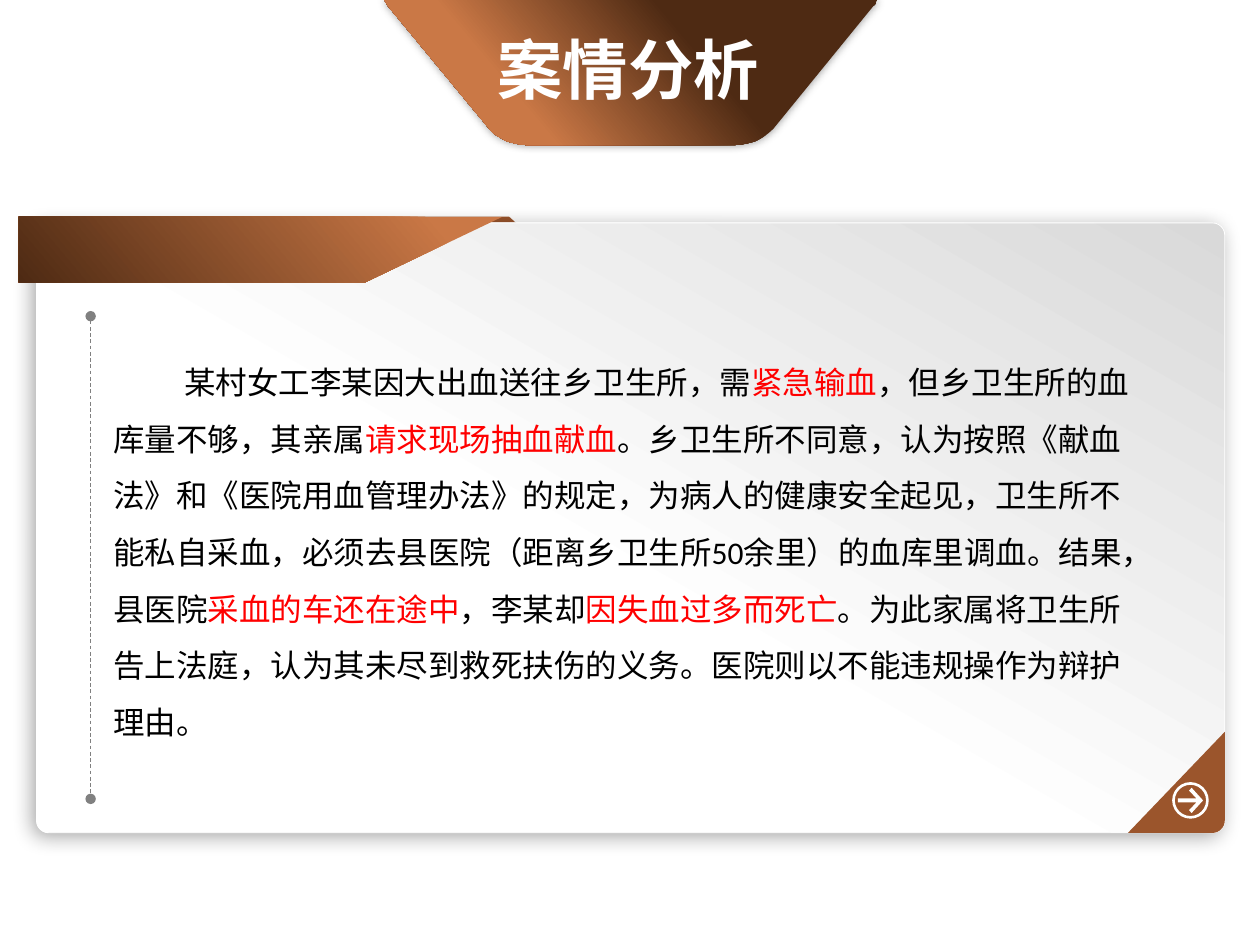
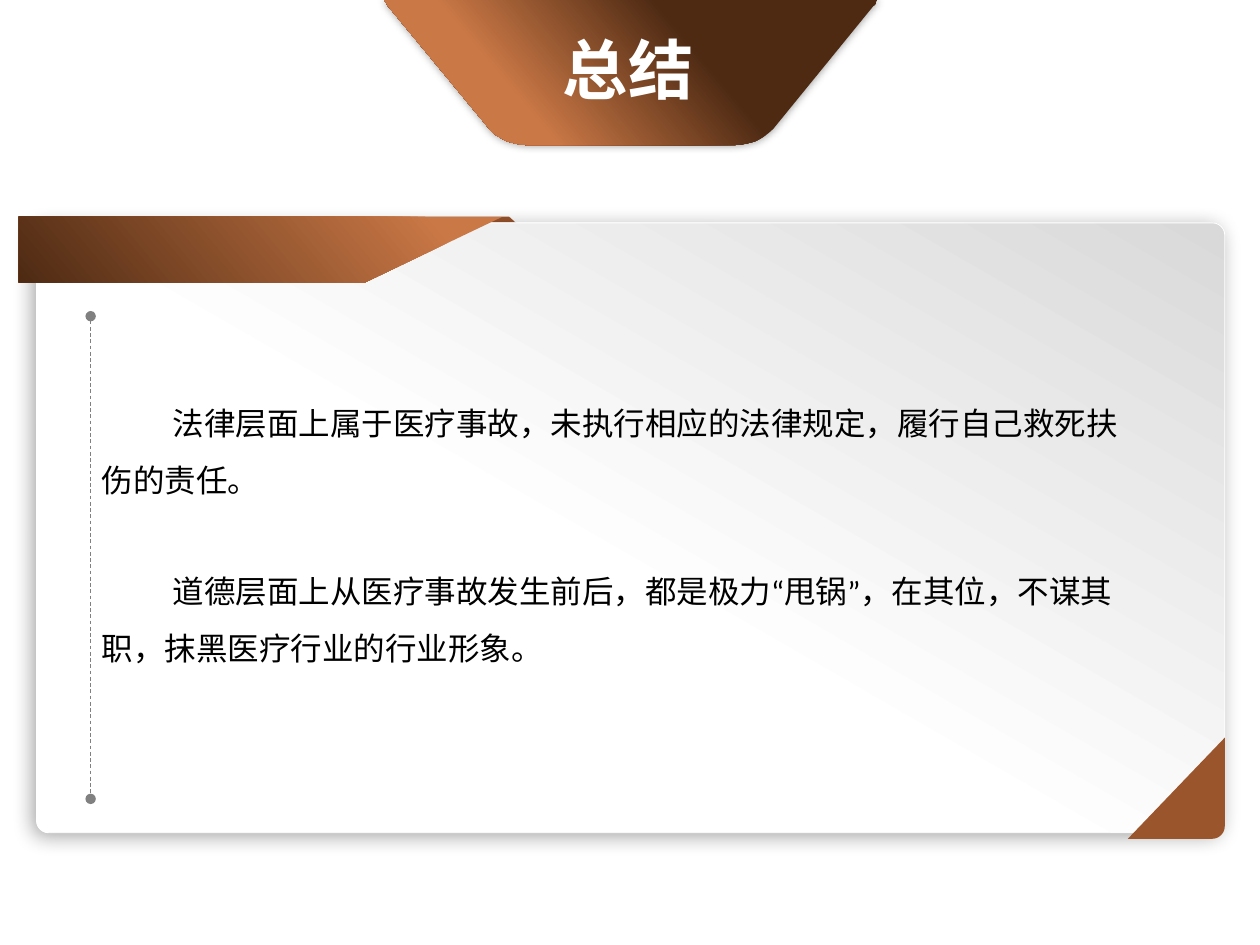
from lxml import etree
from pptx import Presentation
from pptx.dml.color import RGBColor
from pptx.enum.dml import MSO_LINE
from pptx.enum.shapes import MSO_CONNECTOR, MSO_SHAPE
from pptx.enum.text import MSO_ANCHOR, MSO_AUTO_SIZE, PP_ALIGN
from pptx.oxml.ns import qn
from pptx.util import Pt

ROUND, OVAL = MSO_SHAPE.ROUNDED_RECTANGLE, MSO_SHAPE.OVAL
STRAIGHT = MSO_CONNECTOR.STRAIGHT
DASH = MSO_LINE.DASH
CENTER, MIDDLE = PP_ALIGN.CENTER, MSO_ANCHOR.MIDDLE
NO_FIT = MSO_AUTO_SIZE.NONE

WHITE, BLACK, RED, GREY = "FFFFFF", "000000", "FF0000", "808080"
SILVER, RUST, COPPER, BROWN = "D9D9D9", "9B552C", "CA7846", "4E2A13"
HEAD, BODY = "Noto Sans CJK SC", "Calibri"

FOLD = [(36.7, 144), (313.2, 144), (290.9, 123.8), (14.4, 123.8)]
BAND = [(287.3, 123.8), (10.8, 123.8), (10.8, 161.3), (208.8, 161.3)]
BADGE = [(219.6, 0), (501.1, 0), (501.1, 1.4, 500.4, 2.9, 499, 3.6),
         (442.1, 73.4), (439.2, 76.3, 436.3, 78.5, 432, 80.6),
         (427.7, 82.1, 422.6, 83, 417.6, 83), (303.1, 83),
         (298.1, 83, 293.8, 82.1, 289.4, 80.6),
         (285.1, 78.5, 281.5, 76.3, 279.4, 73.4), (221.8, 3.6)]
ARROW = [(0.7, 7.2), (-0.8, 5.6), (3.4, 1.2), (-7.2, 1.2), (-7.2, -1.2),
         (3.4, -1.2), (-0.8, -5.6), (0.7, -7.2), (7.2, 0)]


def rgb(code):
    """Turn a hex string into a colour."""
    return RGBColor.from_string(code)


def paint(shape, color):
    """Give a shape a plain fill without line or shadow."""
    shape.shadow.inherit = False
    shape.fill.solid()
    shape.fill.fore_color.rgb = rgb(color)
    shape.line.fill.background()


def shade(shape, stops, angle):
    """Give a shape a two-stop gradient at a clockwise angle."""
    shape.fill.gradient()
    shape.fill.gradient_angle = 360 - angle
    for stop, (place, color) in zip(shape.fill.gradient_stops, stops):
        stop.position = place
        stop.color.rgb = rgb(color)


def cast(shape, alpha, blur, dist, angle):
    """Add a soft black outer shadow."""
    effects = shape.element.spPr.find(qn("a:effectLst"))
    outer = etree.SubElement(
        effects, qn("a:outerShdw"), blurRad=str(Pt(blur)), dist=str(Pt(dist)),
        dir=str(angle * 60000), algn="ctr", rotWithShape="0")
    tone = etree.SubElement(outer, qn("a:srgbClr"), val=BLACK)
    etree.SubElement(tone, qn("a:alpha"), val=str(alpha * 1000))


def trace(steps, count=8):
    """Turn line points and cubic curve steps into plain points."""
    points = []
    for step in steps:
        if len(step) == 2:
            points.append(step)
            continue
        knots = [points[-1], step[:2], step[2:4], step[4:]]
        for i in range(1, count + 1):
            t = i / count
            parts = ((1 - t) ** 3, 3 * t * (1 - t) ** 2,
                     3 * t * t * (1 - t), t ** 3)
            points.append(tuple(sum(w * k[axis] for w, k in zip(parts, knots))
                                for axis in (0, 1)))
    return points


def outline(slide, steps, color):
    """Draw a closed outline in one colour."""
    points = [(Pt(x), Pt(y)) for x, y in trace(steps)]
    pen = slide.shapes.build_freeform(*points[0])
    pen.add_line_segments(points[1:], close=True)
    shape = pen.convert_to_shape()
    paint(shape, color)
    return shape


def add_card(slide, base):
    """Draw the panel with its ribbon and a corner ending at base."""
    outline(slide, FOLD, RUST)
    card = slide.shapes.add_shape(ROUND, Pt(20.9), Pt(127.4), Pt(679), Pt(348.5))
    card.adjustments[0] = 0.02
    paint(card, WHITE)
    shade(card, [(0.45, WHITE), (1, SILVER)], 300)
    card.line.color.rgb = rgb(WHITE)
    card.line.width = Pt(0.5)
    cast(card, 34, 12, 3, 135)
    right = 699.9
    outline(slide, [(right, base - 57.8), (right, base - 7.2),
                    (right, base - 3.2, right - 3.2, base, right - 7.2, base),
                    (right - 55.4, base)], RUST)
    band = outline(slide, BAND, COPPER)
    shade(band, [(0.13, COPPER), (1, BROWN)], 140)


def add_rule(slide):
    """Draw the dashed line with round ends."""
    rule = slide.shapes.add_connector(
        STRAIGHT, Pt(51.8), Pt(180.7), Pt(51.8), Pt(456.5))
    rule.line.color.rgb = rgb(GREY)
    rule.line.width = Pt(0.5)
    rule.line.dash_style = DASH
    line = rule.line._get_or_add_ln()
    for end in ("a:headEnd", "a:tailEnd"):
        etree.SubElement(line, qn(end), type="oval")
    etree.SubElement(rule.element.spPr, qn("a:effectLst"))


def add_icon(slide, x, y):
    """Draw a ringed arrow centred at a point."""
    size = 19.4
    ring = slide.shapes.add_shape(
        OVAL, Pt(x - size / 2), Pt(y - size / 2), Pt(size), Pt(size))
    paint(ring, WHITE)
    ring.fill.background()
    ring.line.color.rgb = rgb(WHITE)
    ring.line.width = Pt(1.5)
    outline(slide, [(x + dx, y + dy) for dx, dy in ARROW], WHITE)


def add_run(para, text, face, size, color, bold=False):
    """Add one run with its font."""
    run = para.add_run()
    run.text = text
    font = run.font
    font.name, font.size, font.bold = face, Pt(size), bold
    font.color.rgb = rgb(color)
    etree.SubElement(run._r.get_or_add_rPr(), qn("a:ea"), typeface=face)


def add_text(slide, left, top, height, parts):
    """Add an indented paragraph whose every second part is red."""
    box = slide.shapes.add_textbox(Pt(left), Pt(top), Pt(603.4), Pt(height))
    box.text_frame.word_wrap = True
    para = box.text_frame.paragraphs[0]
    para.line_spacing = 1.5
    para._p.get_or_add_pPr().set("indent", str(Pt(40.5)))
    for i, part in enumerate(parts):
        add_run(para, part, BODY, 18, RED if i % 2 else BLACK)


def add_title(slide, text, width):
    """Draw the badge and set the title on it."""
    badge = outline(slide, BADGE, BROWN)
    shade(badge, [(0.36, BROWN), (0.72, COPPER)], 140)
    cast(badge, 40, 5, 0, 0)
    title = slide.shapes.title
    title.left, title.top = Pt(359 - width / 2), Pt(12.5)
    title.width, title.height = Pt(width), Pt(52.6)
    frame = title.text_frame
    frame.word_wrap = False
    frame.auto_size = NO_FIT
    frame.vertical_anchor = MIDDLE
    frame.paragraphs[0].alignment = CENTER
    add_run(frame.paragraphs[0], text, HEAD, 37.3, WHITE, True)
    slide.shapes.element.append(title.element)


def main():
    """Build both slides and save them."""
    deck = Presentation()
    deck.slide_width, deck.slide_height = Pt(720), Pt(540)
    layout = deck.slide_layouts[5]

    case = deck.slides.add_slide(layout)
    add_card(case, 476)
    add_icon(case, 680.3, 457.4)
    add_text(case, 57.6, 193, 236, [
        "某村女工李某因大出血送往乡卫生所，需", "紧急输血",
        "，但乡卫生所的血库量不够，其亲属", "请求现场抽血献血",
        "。乡卫生所不同意，认为按照《献血法》和《医院用血管理办法》的规定，"
        "为病人的健康安全起见，卫生所不能私自采血，必须去县医院"
        "（距离乡卫生所50余里）的血库里调血。结果，县医院",
        "采血的车还在途中", "，李某却", "因失血过多而死亡",
        "。为此家属将卫生所告上法庭，认为其未尽到救死扶伤的义务。"
        "医院则以不能违规操作为辩护理由。"])
    add_rule(case)
    add_title(case, "案情分析", 165.6)

    close = deck.slides.add_slide(layout)
    add_card(close, 479.3)
    add_text(close, 51.1, 216.7, 72.7, [
        "法律层面上属于医疗事故，未执行相应的法律规定，履行自己救死扶伤的责任。"])
    add_rule(close)
    add_title(close, "总结", 90)
    add_text(close, 51.1, 312.5, 72.7, [
        "道德层面上从医疗事故发生前后，都是极力“甩锅”，在其位，不谋其职，"
        "抹黑医疗行业的行业形象。"])

    deck.save("out.pptx")


if __name__ == "__main__":
    main()
